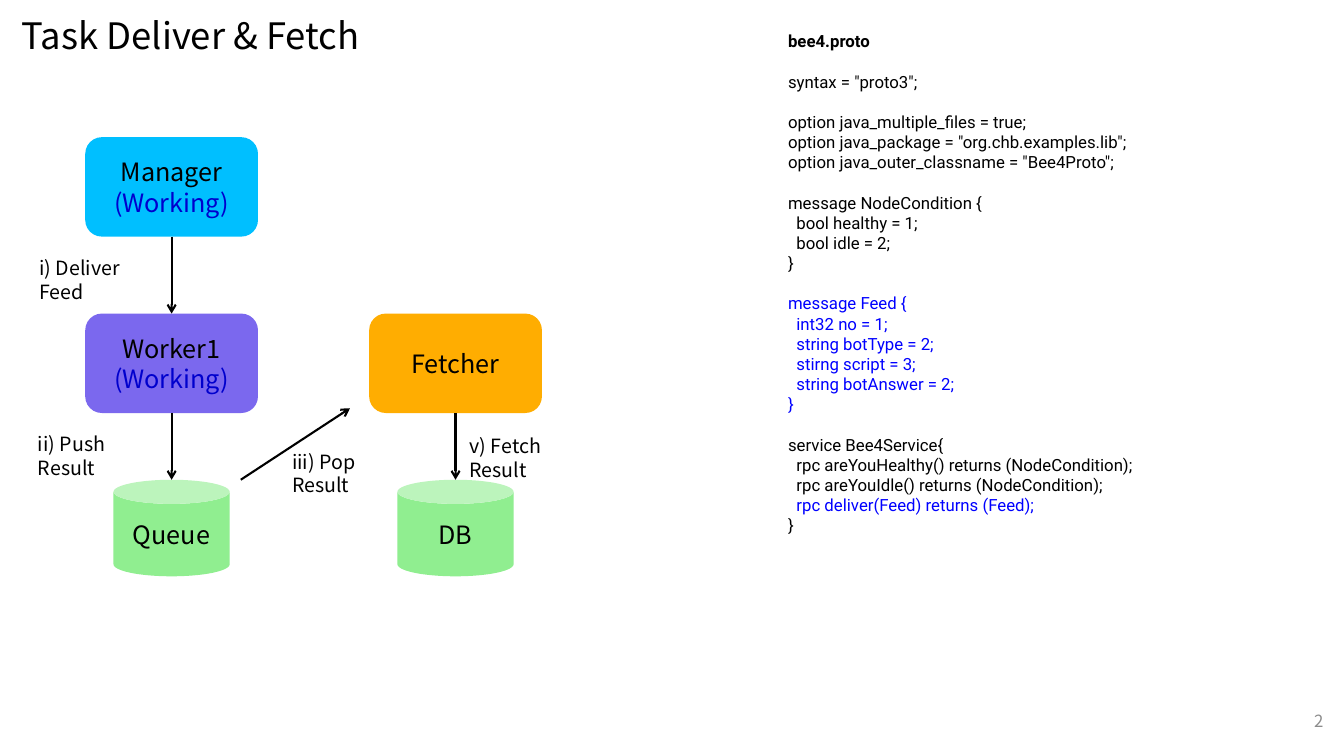
"""Build the Task Deliver & Fetch slide."""
from lxml import etree
from pptx import Presentation
from pptx.dml.color import RGBColor
from pptx.enum import shapes, text
from pptx.oxml.ns import qn
from pptx.util import Pt

BLACK = RGBColor(0x00, 0x00, 0x00)
GREY = RGBColor(0x8C, 0x8C, 0x8C)
BLUE = RGBColor(0x00, 0x00, 0xFF)
MEDIUM_BLUE = RGBColor(0x00, 0x00, 0xCD)
SKY = RGBColor(0x00, 0xBF, 0xFF)
PURPLE = RGBColor(0x7B, 0x68, 0xEE)
ORANGE = RGBColor(0xFF, 0xAD, 0x01)
GREEN = RGBColor(0x90, 0xEE, 0x90)
SANS = "Noto Sans CJK KR"
CODE_FONT = "Roboto"


def add_run(p, words, size, color=BLACK, font=SANS, bold=False):
    r = p.add_run()
    r.text = words
    r.font.name = font
    r.font.size = Pt(size)
    r.font.bold = bold
    r.font.color.rgb = color


def add_box(left, top, width, height):
    tf = s.shapes.add_textbox(Pt(left), Pt(top), Pt(width), Pt(height)).text_frame
    tf.word_wrap = True
    return tf


prs = Presentation()
prs.slide_width, prs.slide_height = Pt(960), Pt(540)
s = prs.slides.add_slide(prs.slide_layouts[6])

tf = add_box(736.5, 500.5, 216, 29)
tf.vertical_anchor = text.MSO_ANCHOR.MIDDLE
p = tf.paragraphs[0]
p.alignment = text.PP_ALIGN.RIGHT
add_run(p, "2", 12, GREY)

p = add_box(8.6, 9.4, 944, 36).paragraphs[0]
p.line_spacing = 0.9
add_run(p, "Task Deliver & Fetch", 26)

ROUND = shapes.MSO_SHAPE.ROUNDED_RECTANGLE
CAN = shapes.MSO_SHAPE.CAN
SIZES = {ROUND: (123.4, 71), CAN: (83, 69)}
WORKER_X, FETCHER_X = 122.6, 325.4
MANAGER_Y, WORKER_Y, STORE_Y = 98, 224, 342.7

nodes = [
    (ROUND, WORKER_X, MANAGER_Y, SKY, "Manager", "(Working)"),
    (ROUND, WORKER_X, WORKER_Y, PURPLE, "Worker1", "(Working)"),
    (ROUND, FETCHER_X, WORKER_Y, ORANGE, "Fetcher", None),
    (CAN, WORKER_X, STORE_Y, GREEN, "Queue", None),
    (CAN, FETCHER_X, STORE_Y, GREEN, "DB", None),
]
for kind, center, top, fill, name, state in nodes:
    width, height = SIZES[kind]
    sp = s.shapes.add_shape(kind, Pt(center - width / 2), Pt(top), Pt(width), Pt(height))
    sp.shadow.inherit = False
    sp.fill.solid()
    sp.fill.fore_color.rgb = fill
    sp.line.fill.background()
    tf = sp.text_frame
    tf.vertical_anchor = text.MSO_ANCHOR.MIDDLE
    p = tf.paragraphs[0]
    p.alignment = text.PP_ALIGN.CENTER
    add_run(p, name, 18)
    if state:
        p = tf.add_paragraph()
        p.alignment = text.PP_ALIGN.CENTER
        add_run(p, state, 18, MEDIUM_BLUE)

box_height = SIZES[ROUND][1]
arrows = [
    (WORKER_X, MANAGER_Y + box_height, WORKER_X, WORKER_Y),
    (WORKER_X, WORKER_Y + box_height, WORKER_X, STORE_Y),
    (172, STORE_Y, 250, 291.6),
    (FETCHER_X, WORKER_Y + box_height, FETCHER_X, STORE_Y),
]
for ends in arrows:
    line = s.shapes.add_connector(shapes.MSO_CONNECTOR.STRAIGHT, *map(Pt, ends))
    line.line.color.rgb = BLACK
    line.line.width = Pt(1.5)
    etree.SubElement(line.line._get_or_add_ln(), qn("a:tailEnd"), type="arrow")
    etree.SubElement(line._element.spPr, qn("a:effectLst"))

steps = [
    (21, 179.3, "i) Deliver Feed"),
    (20, 305.3, "ii) Push Result"),
    (201.6, 317.5, "iii) Pop Result"),
    (328.3, 306.7, "v) Fetch Result"),
]
for left, top, label in steps:
    tf = add_box(left, top, 104, 24.5)
    tf.margin_right = Pt(28)
    add_run(tf.paragraphs[0], label, 14)

HEADING = ["bee4.proto"]
HIGHLIGHTED = ["message Feed {", "int32 no = 1;", "string botType = 2;",
               "stirng script = 3;", "string botAnswer = 2;"]
DELIVER = "rpc deliver(Feed) returns (Feed);"
blocks = [
    HEADING,
    ['syntax = "proto3";'],
    ["option java_multiple_files = true;",
     'option java_package = "org.chb.examples.lib";',
     'option java_outer_classname = "Bee4Proto";'],
    ["message NodeCondition {", "bool healthy = 1;", "bool idle = 2;", "}"],
    HIGHLIGHTED + ["}"],
    ["service Bee4Service{",
     "rpc areYouHealthy() returns (NodeCondition);",
     "rpc areYouIdle() returns (NodeCondition);",
     DELIVER, "}"],
]
tf = add_box(555.8, 18.7, 361.4, 371)
for b, block in enumerate(blocks):
    for i, code in enumerate(block):
        p = tf.add_paragraph() if b or i else tf.paragraphs[0]
        if b and i == 0:
            p.space_before = Pt(14.4)
        if block[-1] == "}" and 0 < i < len(block) - 1:
            p._p.get_or_add_pPr().set("marL", str(Pt(6)))
        blue = code == DELIVER or block[0] == HIGHLIGHTED[0]
        add_run(p, code, 12, BLUE if blue else BLACK, CODE_FONT, block is HEADING)

prs.save("out.pptx")
